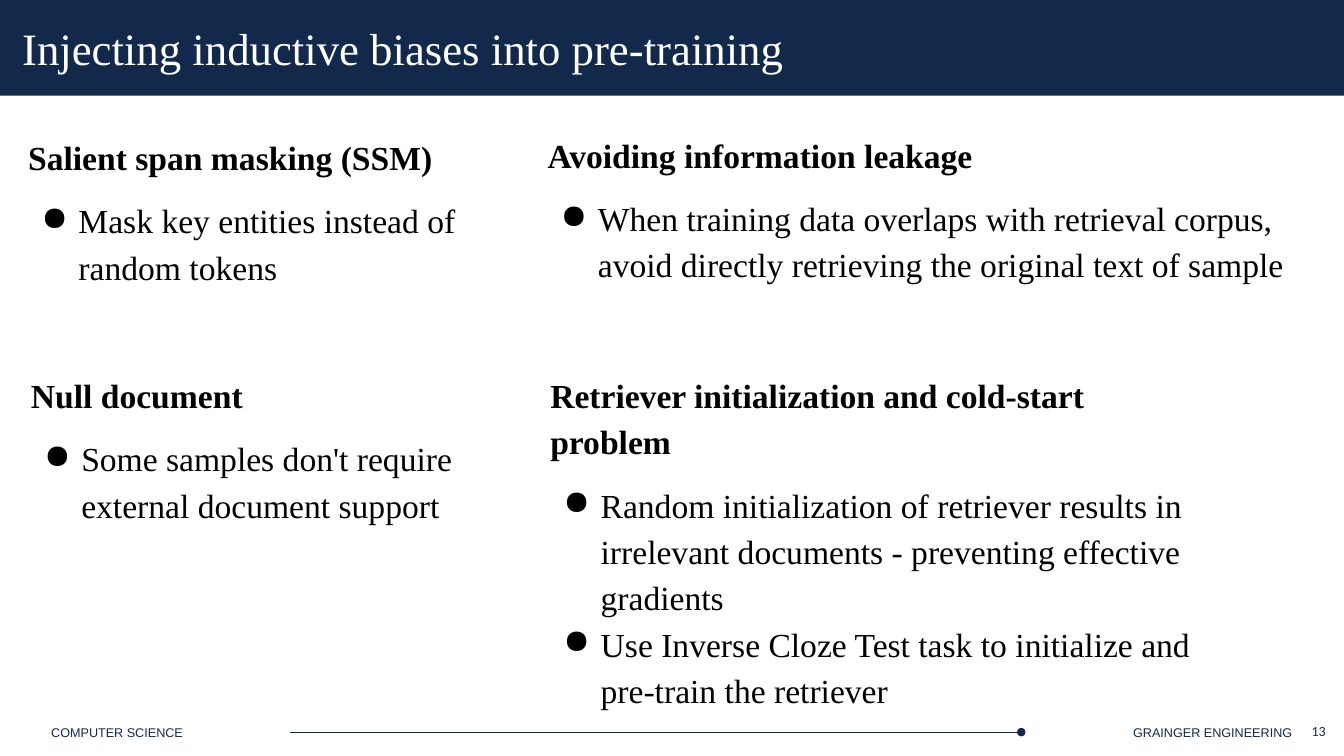
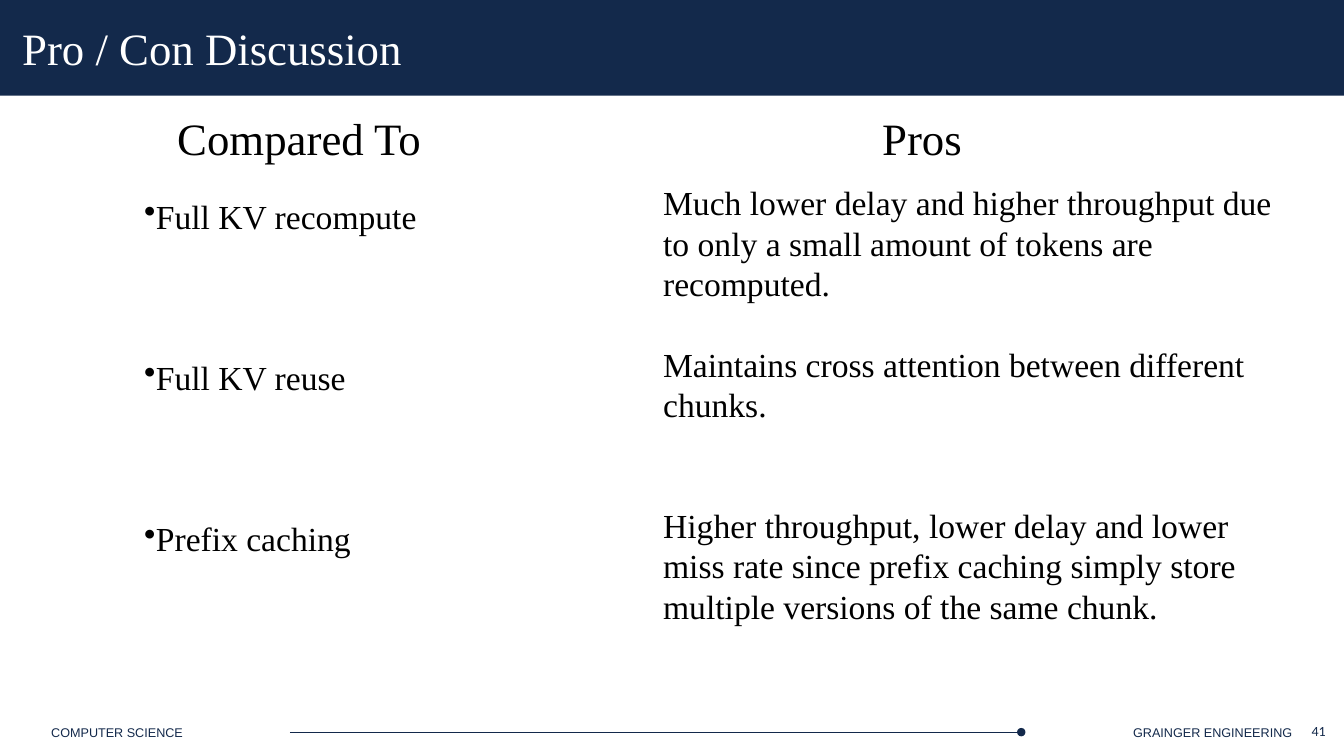
from lxml import etree
from pptx import Presentation
from pptx.dml.color import RGBColor
from pptx.enum import shapes, text
from pptx.oxml import ns
from pptx.util import Pt

COLORS = {"navy": "13294B", "white": "FFFFFF", "black": "000000"}
SERIF, SANS, NUMBER = "Times New Roman", "Arial", "Calibri"
WIDTH, HEIGHT = 960, 540


def color(name):
    return RGBColor.from_string(COLORS[name])


class Deck:
    """Shared style and the slide being built; all lengths are in points."""

    def __init__(self):
        self.prs = Presentation()
        self.prs.slide_width, self.prs.slide_height = Pt(WIDTH), Pt(HEIGHT)
        self.slide = None

    def new_slide(self, heading, number):
        self.slide = self.prs.slides.add_slide(self.prs.slide_layouts[5])
        # Title band, placed behind the title
        band = self.shape(shapes.MSO_SHAPE.RECTANGLE, 0, 0, WIDTH, 68.4)
        title = self.slide.shapes.title
        title.element.addprevious(band.element)
        title.left, title.top, title.width, title.height = Pt(8.6), Pt(11.5), Pt(859), Pt(46)
        frame = title.text_frame
        frame.text = heading
        frame.auto_size = text.MSO_AUTO_SIZE.NONE
        frame.vertical_anchor = text.MSO_ANCHOR.TOP
        frame.paragraphs[0].alignment = text.PP_ALIGN.LEFT
        self.style(frame.paragraphs[0], 32, tint="white")
        self.footer(number)

    def footer(self, number):
        right = text.PP_ALIGN.RIGHT
        self.label("GRAINGER ENGINEERING", 735, 514, 195, 18, 9, SANS, "navy", right)
        self.label("COMPUTER SCIENCE", 29.5, 514, 180, 18, 9, SANS, "navy")
        self.line(207, 523, 727, 523)
        self.shape(shapes.MSO_SHAPE.OVAL, 726.5, 520, 6, 6)
        self.label(str(number), 738, 507.5, 216, 29, 10, NUMBER, "navy", right,
                   text.MSO_ANCHOR.MIDDLE)

    def shape(self, preset, left, top, width, height):
        item = self.slide.shapes.add_shape(preset, Pt(left), Pt(top), Pt(width), Pt(height))
        item.shadow.inherit = False
        item.fill.solid()
        item.fill.fore_color.rgb = color("navy")
        item.line.fill.background()
        return item

    def line(self, x1, y1, x2, y2):
        rule = self.slide.shapes.add_connector(
            shapes.MSO_CONNECTOR.STRAIGHT, Pt(x1), Pt(y1), Pt(x2), Pt(y2))
        rule.line.color.rgb = color("navy")
        rule.line.width = Pt(0.75)
        etree.SubElement(rule.element.spPr, ns.qn("a:effectLst"))

    def style(self, paragraph, size, face=SERIF, tint="black", bold=False):
        font = paragraph.font
        font.size, font.name, font.bold = Pt(size), face, bold
        font.color.rgb = color(tint)

    def bullet(self, paragraph, mark, margin, hang):
        props = paragraph._p.get_or_add_pPr()
        props.set("marL", str(Pt(margin)))
        props.set("indent", str(-Pt(hang)))
        tint = etree.SubElement(props, ns.qn("a:buClr"))
        etree.SubElement(tint, ns.qn("a:srgbClr"), val=COLORS["black"])
        etree.SubElement(props, ns.qn("a:buChar"), char=mark)

    def frame(self, left, top, width, height):
        box = self.slide.shapes.add_textbox(Pt(left), Pt(top), Pt(width), Pt(height))
        box.text_frame.word_wrap = True
        return box.text_frame

    def label(self, words, left, top, width, height, size, face=SERIF, tint="black",
              align=text.PP_ALIGN.LEFT, anchor=text.MSO_ANCHOR.TOP, mark=None):
        frame = self.frame(left, top, width, height)
        frame.vertical_anchor = anchor
        paragraph = frame.paragraphs[0]
        paragraph.text = words
        paragraph.alignment = align
        if mark:
            self.bullet(paragraph, mark, 8.4, 8.4)
        self.style(paragraph, size, face, tint)

    def topic(self, heading, points, left, top, width, height):
        """A bold heading over a bulleted list."""
        frame = self.frame(left, top, width, height)
        for index, words in enumerate([heading, *points]):
            paragraph = frame.paragraphs[0] if index == 0 else frame.add_paragraph()
            paragraph.text = words
            paragraph.line_spacing = 1.15
            if index == 1:
                paragraph.space_before = Pt(12)
            if index:
                self.bullet(paragraph, "●", 36, 26.6)
            self.style(paragraph, 24, bold=index == 0)


def build_biases(deck):
    deck.new_slide("Injecting inductive biases into pre-training", 13)
    deck.topic("Salient span masking (SSM)",
               ["Mask key entities instead of random tokens"], 13, 90, 354, 117)
    deck.topic("Avoiding information leakage",
               ["When training data overlaps with retrieval corpus, avoid directly "
                "retrieving the original text of sample"], 384, 88.5, 555, 117)
    deck.topic("Null document",
               ["Some samples don't require external document support"], 15, 260, 354, 117)
    deck.topic("Retriever initialization and cold-start problem",
               ["Random initialization of retriever results in irrelevant documents - "
                "preventing effective gradients",
                "Use Inverse Cloze Test task to initialize and pre-train the retriever"],
               386, 260, 482, 250)


def build_discussion(deck):
    deck.new_slide("Pro / Con Discussion", 41)
    # Column headings
    for heading, left in (("Compared To", 119.5), ("Pros", 623)):
        deck.label(heading, left, 75.6, 220, 46, 32)
    # One row for each alternative
    comparisons = [
        ("Full KV recompute", "Much lower delay and higher throughput due to only a small "
                              "amount of tokens are recomputed."),
        ("Full KV reuse", "Maintains cross attention between different chunks."),
        ("Prefix caching", "Higher throughput, lower delay and lower miss rate since prefix "
                           "caching simply store multiple versions of the same chunk."),
    ]
    for row, (alternative, advantage) in enumerate(comparisons):
        top = 126.7 + row * 115.2
        deck.label(alternative, 95.8, top + 9.4, 327, 36, 24, mark="•")
        deck.label(advantage, 466.6, top, 463, 94, 24)


def main():
    deck = Deck()
    build_biases(deck)
    build_discussion(deck)
    deck.prs.save("out.pptx")


if __name__ == "__main__":
    main()
